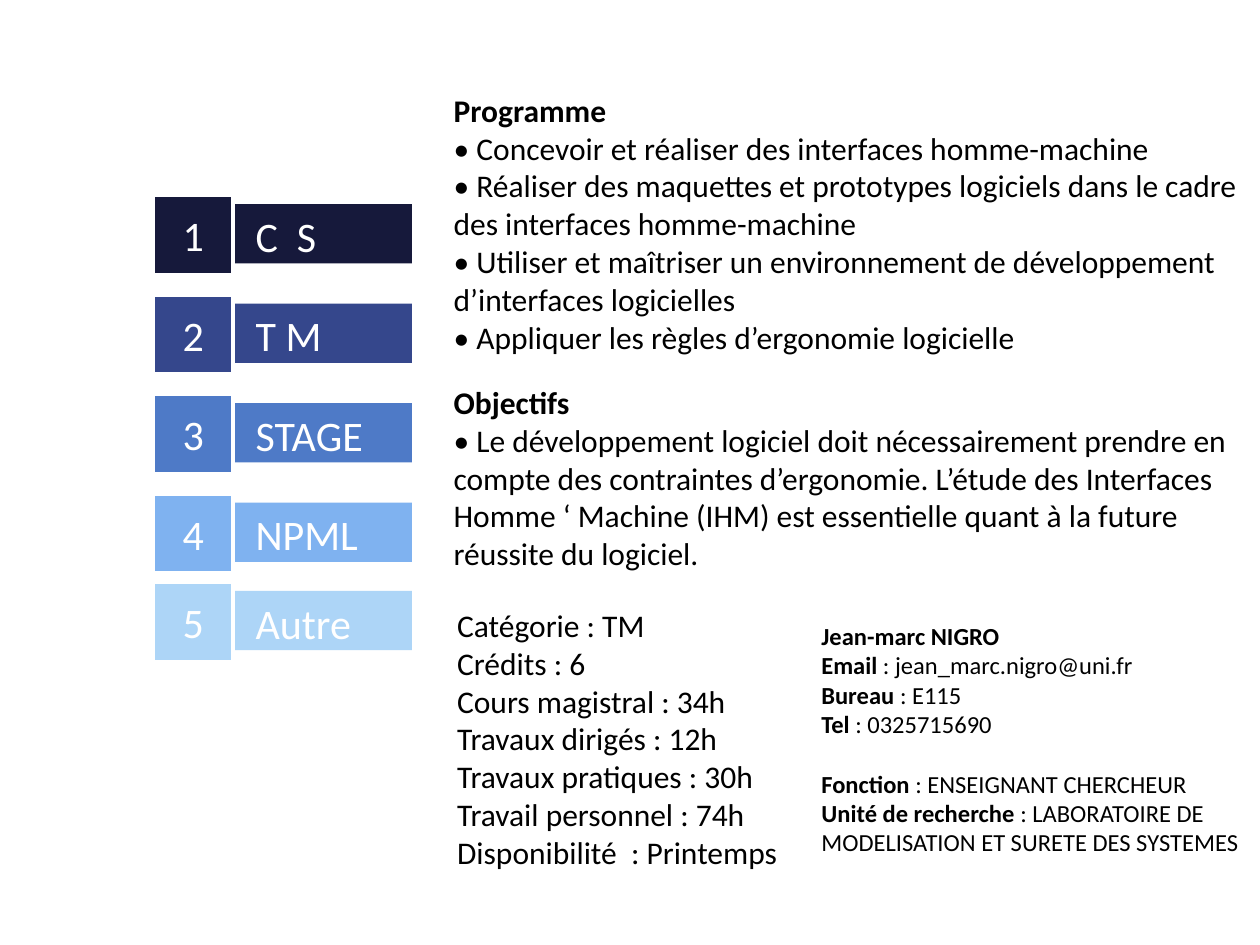
"""Build the course sheet slide: numbered menu, programme, objectives and contact."""
from dataclasses import dataclass

from lxml.etree import SubElement
from pptx import Presentation
from pptx.dml.color import RGBColor
from pptx.enum.shapes import MSO_SHAPE as Preset
from pptx.enum.text import MSO_ANCHOR as Anchor, MSO_AUTO_SIZE as AutoSize, PP_ALIGN as Align
from pptx.oxml.ns import qn
from pptx.util import Inches, Pt


@dataclass(frozen=True)
class Theme:
    font: str = "Calibri"
    menu: int = 24
    body: int = 18
    contact: int = 14
    dark: str = "000000"
    light: str = "FFFFFF"
    blues: tuple = ("16193B", "35478C", "4E7AC7", "7FB2F0", "ADD5F7")


THEME = Theme()
MENU = ("C  S", "T M", "STAGE", "NPML", "Autre")
MENU_TOPS = (1.62, 2.41, 3.2, 3.99, 4.69)

PROGRAMME = (
    [("Programme", True)],
    [("• Concevoir et réaliser des interfaces homme-machine", False)],
    [("• Réaliser des maquettes et prototypes logiciels dans le cadre "
      "des interfaces homme-machine", False)],
    [("• Utiliser et maîtriser un environnement de développement "
      "d’interfaces logicielles", False)],
    [("• Appliquer les règles d’ergonomie logicielle", False)],
)
OBJECTIVES = (
    [("Objectifs", True)],
    [("• Le développement logiciel doit nécessairement prendre en compte des "
      "contraintes d’ergonomie. L’étude des Interfaces Homme ‘ Machine (IHM) est "
      "essentielle quant à la future réussite du logiciel.", False)],
)
COURSE = tuple([(line, False)] for line in (
    "Catégorie : TM",
    "Crédits : 6",
    "Cours magistral : 34h",
    "Travaux dirigés : 12h",
    "Travaux pratiques : 30h",
    "Travail personnel : 74h",
    "Disponibilité  : Printemps",
))
CONTACT = (
    [("Jean-marc NIGRO", True)],
    [("Email", True), (" : jean_marc.nigro@uni.fr", False)],
    [("Bureau ", True), (": E115", False)],
    [("Tel", True), (" : 0325715690", False)],
    [("Fonction", True), (" : ENSEIGNANT CHERCHEUR", False)],
    [("Unité de recherche", True),
     (" : LABORATOIRE DE MODELISATION ET SURETE DES SYSTEMES", False)],
)


def apply(target, **values):
    """Set each given format value on the target."""
    for name, value in values.items():
        setattr(target, name, value)


def write(frame, lines, size, color, **paragraph_format):
    """Fill a text frame with lines of (text, bold) runs."""
    apply(frame, word_wrap=True, auto_size=AutoSize.NONE)
    for index, line in enumerate(lines):
        paragraph = frame.add_paragraph() if index else frame.paragraphs[0]
        apply(paragraph, **paragraph_format)
        for text, bold in line:
            run = paragraph.add_run()
            run.text = text
            apply(run.font, name=THEME.font, size=Pt(size), bold=bold)
            run.font.color.rgb = RGBColor.from_string(color)


def add_block(slide, box, color, outlined=False):
    """Add a filled rectangle, with a white outline if asked."""
    block = slide.shapes.add_shape(Preset.RECTANGLE, *map(Inches, box))
    block.shadow.inherit = False
    block.fill.solid()
    block.fill.fore_color.rgb = RGBColor.from_string(color)
    if outlined:
        block.line.color.rgb = RGBColor.from_string(THEME.light)
        block.line.width = Pt(2)
    else:
        block.line.fill.background()
    return block


def add_text(slide, box, lines, size, color):
    """Add a wrapping text box."""
    frame = slide.shapes.add_textbox(*map(Inches, box)).text_frame
    write(frame, lines, size, color)
    return frame


def add_menu_item(slide, number, label, top, color):
    """Add one menu bar with its label and numbered square."""
    add_block(slide, (1.22, top, 2.05, 0.47), color)
    add_text(slide, (1.93, top, 1.18, 0.5), [[(label, False)]], THEME.menu, THEME.light)
    square = add_block(slide, (1.22, top - 0.07, 0.63, 0.63), color, outlined=True)
    square.text_frame.vertical_anchor = Anchor.MIDDLE
    write(square.text_frame, [[(str(number), False)]], THEME.menu, THEME.light,
          alignment=Align.CENTER)


def fill_list(placeholder, box, lines):
    """Move a body placeholder and write a flush-left list into it."""
    apply(placeholder, **dict(zip(("left", "top", "width", "height"), map(Inches, box))))
    frame = placeholder.text_frame
    write(frame, lines, THEME.body, THEME.dark, space_before=Pt(0))
    for paragraph in frame.paragraphs:
        properties = paragraph._p.get_or_add_pPr()
        properties.set("marL", "0")
        properties.set("indent", "0")
        SubElement(properties, qn("a:buNone"))


def main():
    """Build and save the slide."""
    deck = Presentation()
    apply(deck, slide_width=Inches(10), slide_height=Inches(7.5))
    slide = deck.slides.add_slide(deck.slide_layouts[3])
    title, programme, objectives = slide.placeholders
    title.element.getparent().remove(title.element)

    for number, item in enumerate(zip(MENU, MENU_TOPS, THEME.blues), start=1):
        add_menu_item(slide, number, *item)

    fill_list(programme, (3.5, 0.67, 6.77, 2.22), PROGRAMME)
    fill_list(objectives, (3.5, 2.99, 6.54, 1.62), OBJECTIVES)
    add_text(slide, (3.53, 4.76, 3.13, 2.22), COURSE, THEME.body, THEME.dark)
    contact = add_text(slide, (6.42, 4.88, 4.09, 1.99), CONTACT, THEME.contact, THEME.dark)
    contact.paragraphs[4].space_before = Pt(17)
    deck.save("out.pptx")


if __name__ == "__main__":
    main()
